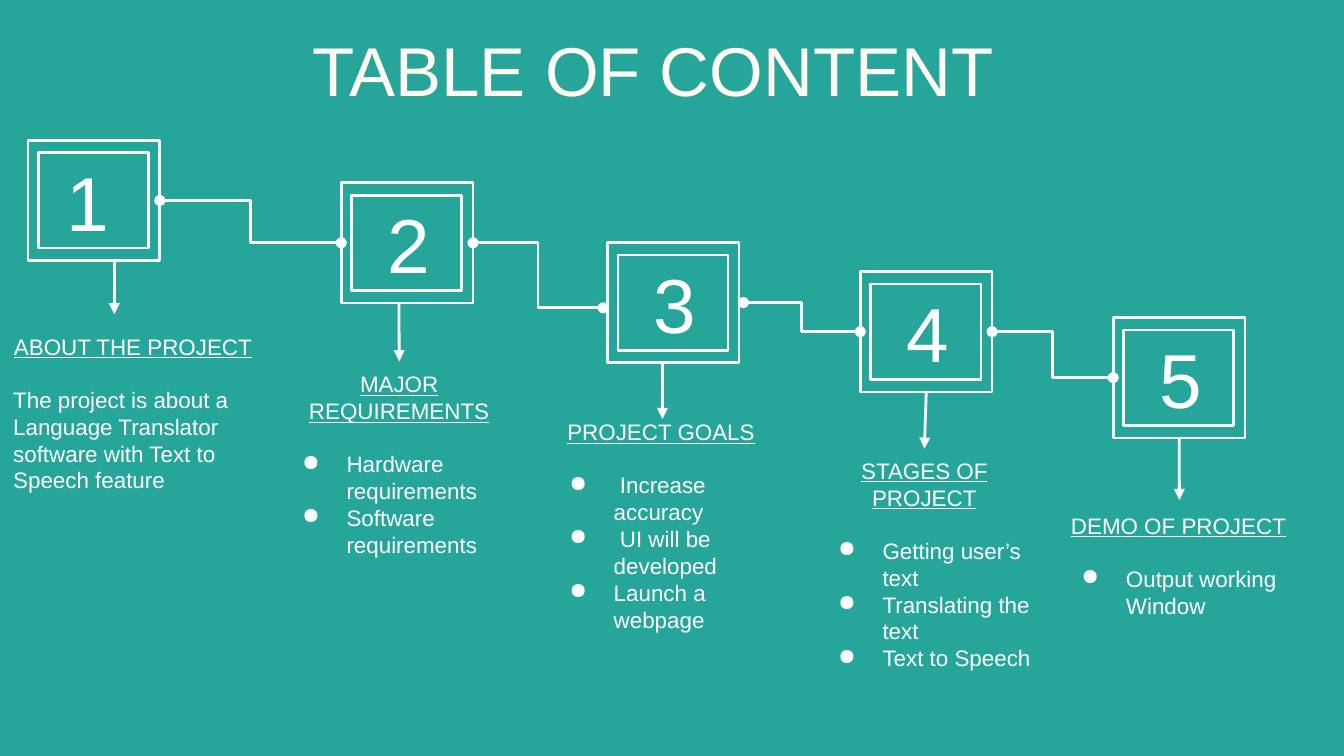
"""Build a table-of-content slide with five numbered steps descending to the right."""
from dataclasses import dataclass

from lxml import etree
from pptx import Presentation
from pptx import util as u
from pptx.dml.color import RGBColor
from pptx.enum import shapes, text
from pptx.oxml import ns


@dataclass(frozen=True)
class Theme:
    teal: RGBColor = RGBColor.from_string("26A69A")
    white: RGBColor = RGBColor.from_string("FFFFFF")
    cream: RGBColor = RGBColor.from_string("FFFBF0")
    font: str = "Arial"
    title: u.Pt = u.Pt(37)
    number: u.Pt = u.Pt(41)
    body: u.Pt = u.Pt(12)
    gap: u.Pt = u.Pt(14)
    stroke: u.Pt = u.Pt(1.5)
    hairline: u.Pt = u.Pt(0.75)


theme = Theme()
deck = Presentation()
deck.slide_width, deck.slide_height = u.Cm(25.4), u.Cm(14.29)
page = deck.slides.add_slide(deck.slide_layouts[6])
page.background.fill.solid()
page.background.fill.fore_color.rgb = theme.teal


def add_box(left, top, width, height, color, weight):
    box = page.shapes.add_shape(shapes.MSO_SHAPE.RECTANGLE, *map(u.Cm, (left, top, width, height)))
    box.shadow.inherit = False
    box.fill.solid()
    box.fill.fore_color.rgb = theme.teal
    box.line.color.rgb = color
    box.line.width = weight
    frame = box.text_frame
    frame.word_wrap = True
    frame.vertical_anchor = text.MSO_ANCHOR.MIDDLE
    frame.margin_left = frame.margin_right = frame.margin_top = frame.margin_bottom = u.Cm(0.25)
    return box


def add_link(kind, start, end, ends):
    points = [u.Cm(value) if isinstance(point[0], (int, float)) else 0
              for point in (start, end) for value in point]
    link = page.shapes.add_connector(kind, *points)
    for point, connect in ((start, link.begin_connect), (end, link.end_connect)):
        if not isinstance(point[0], (int, float)):
            connect(*point)
    link.line.color.rgb = theme.white
    link.line.width = theme.stroke
    line = link.line._get_or_add_ln()
    for tag, style in ends.items():
        etree.SubElement(line, ns.qn(f"a:{tag}"), type=style)
    etree.SubElement(link._element.spPr, ns.qn("a:effectLst"))


title = page.shapes.add_textbox(u.Cm(4.93), u.Cm(0.28), u.Cm(15.57), u.Cm(2.06))
title.text_frame.word_wrap = True
title.text_frame.vertical_anchor = text.MSO_ANCHOR.MIDDLE
title.text_frame.margin_left = u.Cm(0.98)
para = title.text_frame.paragraphs[0]
para.text = "TABLE OF CONTENT"
para.font.name, para.font.size, para.font.color.rgb = theme.font, theme.title, theme.cream

sections = [
    ((0, 6.17, 5.03, 3.28), "ABOUT THE PROJECT", False,
     ["The project is about a Language Translator software with Text to Speech feature"]),
    ((5.03, 6.83, 5.03, 3.89), "MAJOR REQUIREMENTS", True,
     ["Hardware requirements", "Software requirements"]),
    ((10.08, 7.75, 4.83, 4.37), "PROJECT GOALS", True,
     [" Increase accuracy", " UI will be developed", "Launch a webpage"]),
    ((15.16, 8.48, 4.62, 4.37), "STAGES OF PROJECT", True,
     ["Getting user’s text", "Translating the text", "Text to Speech"]),
    ((19.76, 9.25, 5.03, 2.87), "DEMO OF PROJECT", True, ["Output working Window"]),
]
captions = []
for bounds, heading, bulleted, items in sections:
    caption = add_box(*bounds, theme.teal, theme.hairline)
    captions.append(caption)
    for index, words in enumerate([heading, *items]):
        para = caption.text_frame.paragraphs[0] if index == 0 else caption.text_frame.add_paragraph()
        para.text = words
        para.font.name, para.font.size, para.font.color.rgb = theme.font, theme.body, theme.white
        para.alignment = text.PP_ALIGN.LEFT
        if index == 0:
            para.alignment = text.PP_ALIGN.CENTER
            para.font.underline = True
            para.space_after = theme.gap
        elif bulleted:
            props = para._p.get_or_add_pPr()
            props.set("marL", str(u.Cm(1.27)))
            props.set("indent", str(u.Cm(-0.84)))
            tint = etree.SubElement(props, ns.qn("a:buClr"))
            etree.SubElement(tint, ns.qn("a:srgbClr"), val=str(theme.white))
            etree.SubElement(props, ns.qn("a:buChar"), char="●")

frames = []
corners = [(0.53, 2.65), (6.45, 3.45), (11.48, 4.58), (16.26, 5.13), (21.04, 6)]
for number, (left, top) in enumerate(corners, 1):
    frames.append(add_box(left, top, 2.49, 2.28, theme.white, theme.stroke))
    badge = add_box(left + 0.2, top + 0.24, 2.08, 1.8, theme.white, theme.stroke)
    badge.text_frame.margin_left = u.Cm(0.53 if number == 1 else 0.67)
    para = badge.text_frame.paragraphs[0]
    para.text = str(number)
    para.alignment = text.PP_ALIGN.LEFT
    para.font.name, para.font.size, para.font.color.rgb = theme.font, theme.number, theme.white

steps = [
    ((frames[0], 3), (frames[1], 1)),
    ((frames[1], 3), (11.4, 5.82)),
    ((14.05, 5.72), (frames[3], 1)),
    ((frames[3], 3), (frames[4], 1)),
]
for start, end in steps:
    add_link(shapes.MSO_CONNECTOR.ELBOW, start, end, {"headEnd": "oval", "tailEnd": "oval"})

arrows = [
    ((2.16, 4.93), (2.16, 5.94)),
    ((7.54, 5.73), (captions[1], 0)),
    ((12.52, 6.86), (12.52, 7.92)),
    ((frames[3], 2), (captions[3], 0)),
    ((frames[4], 2), (22.29, 9.45)),
]
for start, end in arrows:
    add_link(shapes.MSO_CONNECTOR.STRAIGHT, start, end, {"tailEnd": "triangle"})

deck.save("out.pptx")
